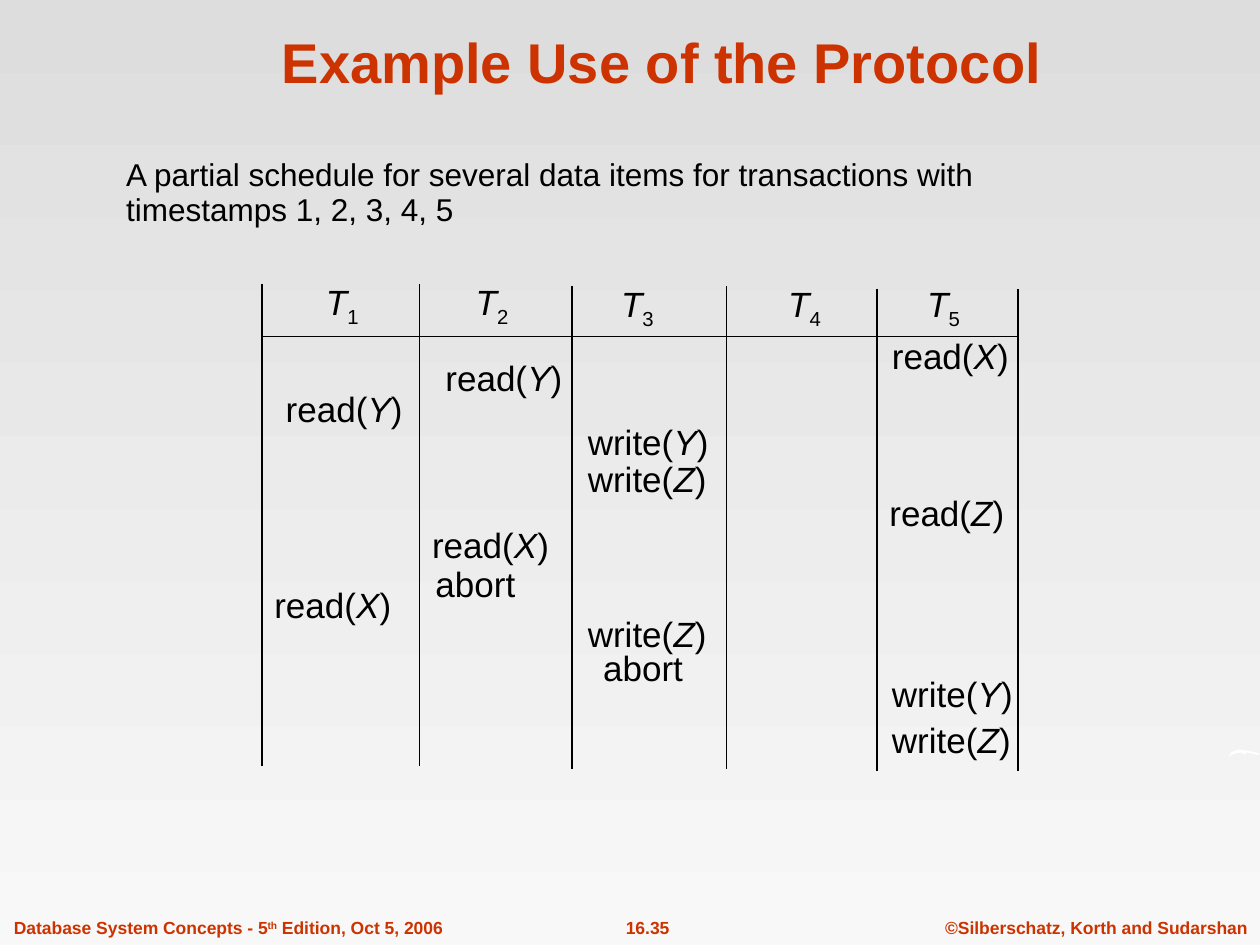
from lxml.etree import SubElement
from pptx import Presentation
from pptx.dml.color import RGBColor
from pptx.enum.shapes import MSO_CONNECTOR as Connector
from pptx.enum.text import MSO_ANCHOR as Anchor, MSO_AUTO_SIZE as AutoSize, PP_ALIGN as Align
from pptx.oxml.ns import qn
from pptx.util import Cm, Pt

RUST = RGBColor(0xCC, 0x33, 0x00)
BLACK = RGBColor(0, 0, 0)
WHITE = RGBColor(0xFF, 0xFF, 0xFF)
SKY_TOP = RGBColor(0xDD, 0xDD, 0xDD)
SKY_BOTTOM = RGBColor(0xF8, 0xF8, 0xF8)

TITLE_FONT = {"name": "Arial", "size": Pt(32), "bold": True}
BODY_FONT = {"name": "Arial", "size": Pt(18), "bold": False}
CELL_FONT = {"name": "Arial", "size": Pt(20), "bold": False}
FOOTER_FONT = {"name": "Arial", "size": Pt(10), "bold": True}
FIXED_FRAME = {"word_wrap": True, "auto_size": AutoSize.NONE}
LABEL_FRAME = {"word_wrap": False, "auto_size": AutoSize.SHAPE_TO_FIT_TEXT}

COLUMN_EDGES = [(0, 0), (3.18, 0), (6.25, 0.05), (9.37, 0.05), (12.4, 0.1), (15.24, 0.1)]
HEADINGS = [(1.04, -0.18), (4.06, -0.18), (6.99, -0.15), (10.36, -0.15), (13.16, -0.15)]
OPERATIONS = [
    ("read", "X", 12.45, 0.89, 3.05),
    ("read", "Y", 3.45, 1.35, 2.87),
    ("read", "Y", 0.23, 1.96, 2.87),
    ("write", "Y", 6.32, 2.64, 3.12),
    ("write", "Z", 6.32, 3.38, 3.1),
    ("read", "Z", 12.4, 4.06, 3.02),
    ("read", "X", 3.18, 4.7, 3.05),
    ("abort", "", 3.25, 5.49, 2.51),
    ("read", "X", 0, 5.92, 3.05),
    ("write", "Z", 6.32, 6.5, 3.1),
    ("abort", "", 6.63, 7.19, 2.51),
    ("write", "Y", 12.45, 7.72, 3.12),
    ("write", "Z", 12.45, 8.64, 3.3),
]


def set_values(target, values):
    for name, value in values.items():
        setattr(target, name, value)


def place(shape, left, top, width, height):
    set_values(shape, {"left": Cm(left), "top": Cm(top),
                       "width": Cm(width), "height": Cm(height)})


def add_span(para, text, font, color, italic=False, baseline=0):
    span = para.add_run()
    span.text = text
    set_values(span.font, {**font, "italic": italic})
    span.font.color.rgb = color
    if baseline:
        span._r.get_or_add_rPr().set("baseline", str(baseline * 1000))


def add_label(page, box, font, color, spans, align=Align.LEFT):
    label = page.shapes.add_textbox(*map(Cm, box))
    set_values(label.text_frame, LABEL_FRAME)
    para = label.text_frame.paragraphs[0]
    para.alignment = align
    for text, *style in spans:
        add_span(para, text, font, color, *style)


def add_rule(page, left, top, right, bottom):
    rule = page.shapes.add_connector(Connector.STRAIGHT, *map(Cm, (left, top, right, bottom)))
    rule.line.color.rgb = BLACK
    rule.line.width = Pt(0.75)
    SubElement(rule._element.spPr, qn("a:effectLst"))


def fill_background(page):
    fill = page.background.fill
    fill.gradient()
    fill.gradient_angle = 270
    for stop, color, position in zip(fill.gradient_stops, (SKY_TOP, SKY_BOTTOM), (0, 1)):
        stop.color.rgb = color
        stop.position = position


def add_edge_mark(page, left, top):
    outline = [(0, 0.14), (0.06, 0.05), (0.2, 0), (0.36, 0.02), (0.63, 0.08),
               (0.6, 0.11), (0.36, 0.06), (0.33, 0.11), (0.25, 0.06), (0.12, 0.08)]
    points = [(Cm(left + x), Cm(top + y)) for x, y in outline]
    builder = page.shapes.build_freeform(*points[0])
    builder.add_line_segments(points[1:], close=True)
    mark = builder.convert_to_shape()
    mark.shadow.inherit = False
    mark.fill.solid()
    mark.fill.fore_color.rgb = WHITE
    mark.line.fill.background()


def fill_title(page, box):
    title = page.shapes.title
    place(title, *box)
    set_values(title.text_frame, {**FIXED_FRAME, "vertical_anchor": Anchor.BOTTOM})
    para = title.text_frame.paragraphs[0]
    para.alignment = Align.CENTER
    add_span(para, "Example Use of the Protocol", TITLE_FONT, RUST)


def fill_body(page, box):
    body = page.placeholders[1]
    place(body, *box)
    frame = body.text_frame
    set_values(frame, {**FIXED_FRAME, "vertical_anchor": Anchor.TOP})
    lines = [("A partial schedule for several data items for transactions with", 0, 1.0),
             ("timestamps 1, 2, 3, 4, 5", 7.9, 0.5)]
    for index, (text, gap, spacing) in enumerate(lines):
        para = frame.add_paragraph() if index else frame.paragraphs[0]
        properties = para._p.get_or_add_pPr()
        properties.set("marL", str(Cm(0.97)))
        properties.set("indent", str(Cm(-0.97)))
        SubElement(properties, qn("a:buNone"))
        set_values(para, {"space_before": Pt(gap), "line_spacing": spacing})
        add_span(para, text, BODY_FONT, BLACK)


def add_schedule(page, left, top, width, height):
    for x, y in COLUMN_EDGES:
        add_rule(page, left + x, top + y, left + x, top + y + height)
    add_rule(page, left, top + 1.07, left + width, top + 1.07)
    for number, (x, y) in enumerate(HEADINGS, 1):
        add_label(page, (left + x, top + y, 1.17, 1.22), CELL_FONT, BLACK,
                  [("T", True), (str(number), False, -25)])
    for action, item, x, y, label_width in OPERATIONS:
        spans = [(action + "(",), (item, True), (")",)] if item else [(action,)]
        add_label(page, (left + x, top + y, label_width, 1.12), CELL_FONT, BLACK, spans)


def add_footer(page, left, top, height):
    parts = [
        (0, 9.8, Align.LEFT, [("Database System Concepts - 5",), ("th", False, 30),
                              (" Edition, Oct 5, 2006",)]),
        (11.68, 2.69, Align.CENTER, [("16.35",)]),
        (18.77, 6.6, Align.CENTER, [("©Silberschatz, Korth and Sudarshan",)]),
    ]
    for x, width, align, spans in parts:
        add_label(page, (left + x, top, width, height), FOOTER_FONT, RUST, spans, align)


def main():
    deck = Presentation()
    set_values(deck, {"slide_width": Cm(25.4), "slide_height": Cm(19.05)})
    page = deck.slides.add_slide(deck.slide_layouts[1])
    fill_background(page)
    add_footer(page, 0.03, 18.36, 0.69)
    add_edge_mark(page, 24.77, 15.11)
    fill_title(page, (2.13, 0.33, 22.43, 1.7))
    fill_body(page, (2.29, 3, 22.76, 13.54))
    add_schedule(page, 5.28, 5.72, 15.24, 9.73)
    deck.save("out.pptx")


if __name__ == "__main__":
    main()
